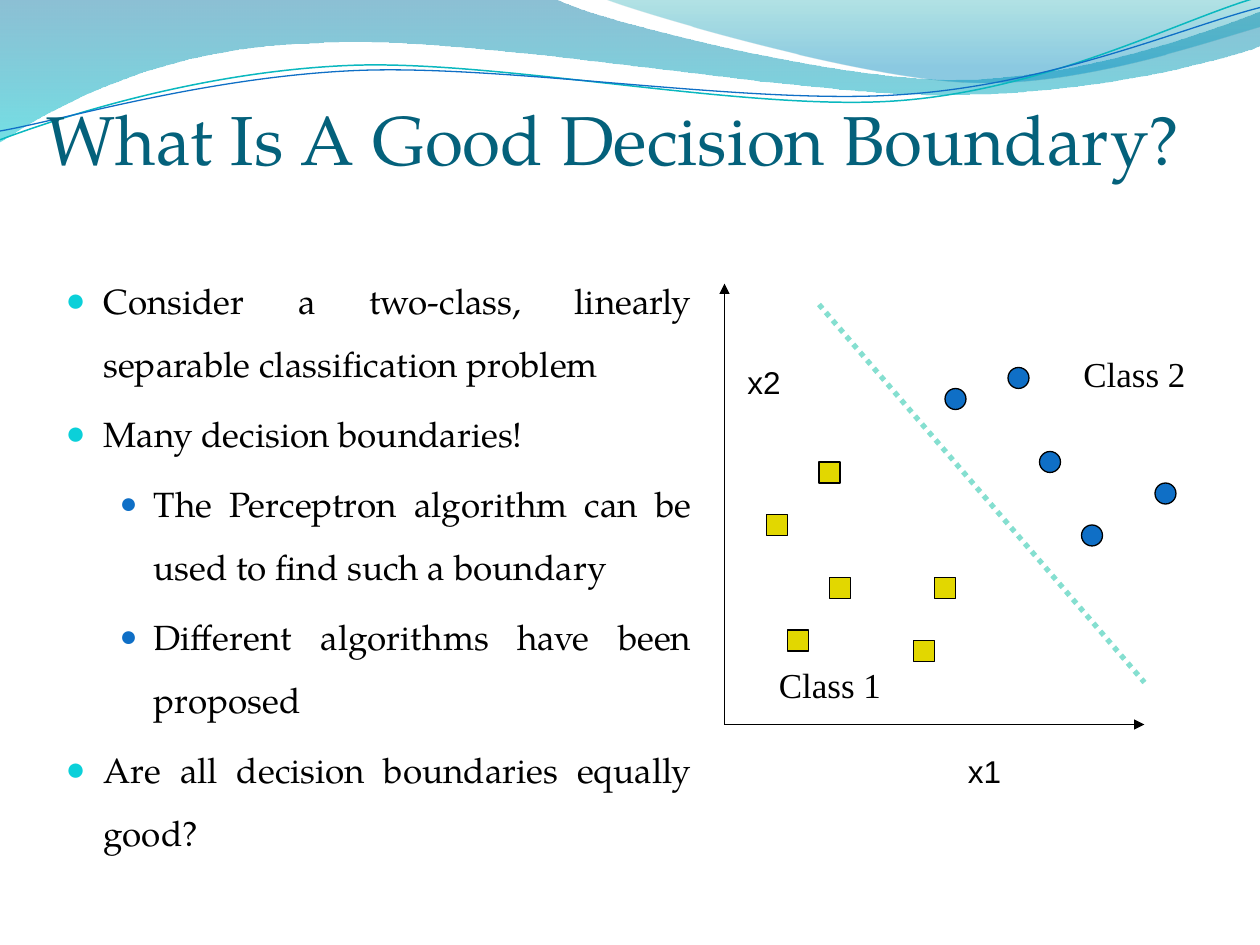
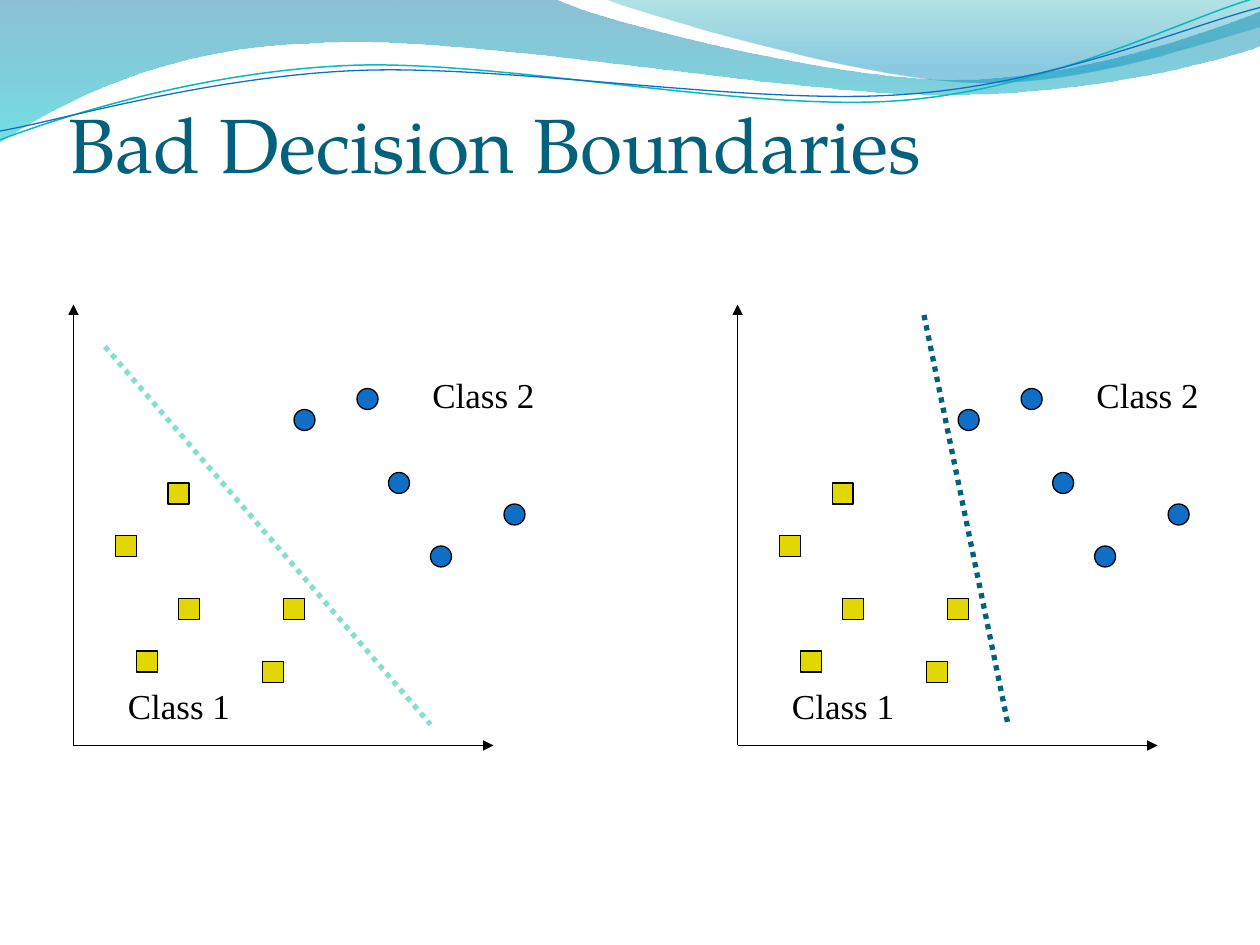
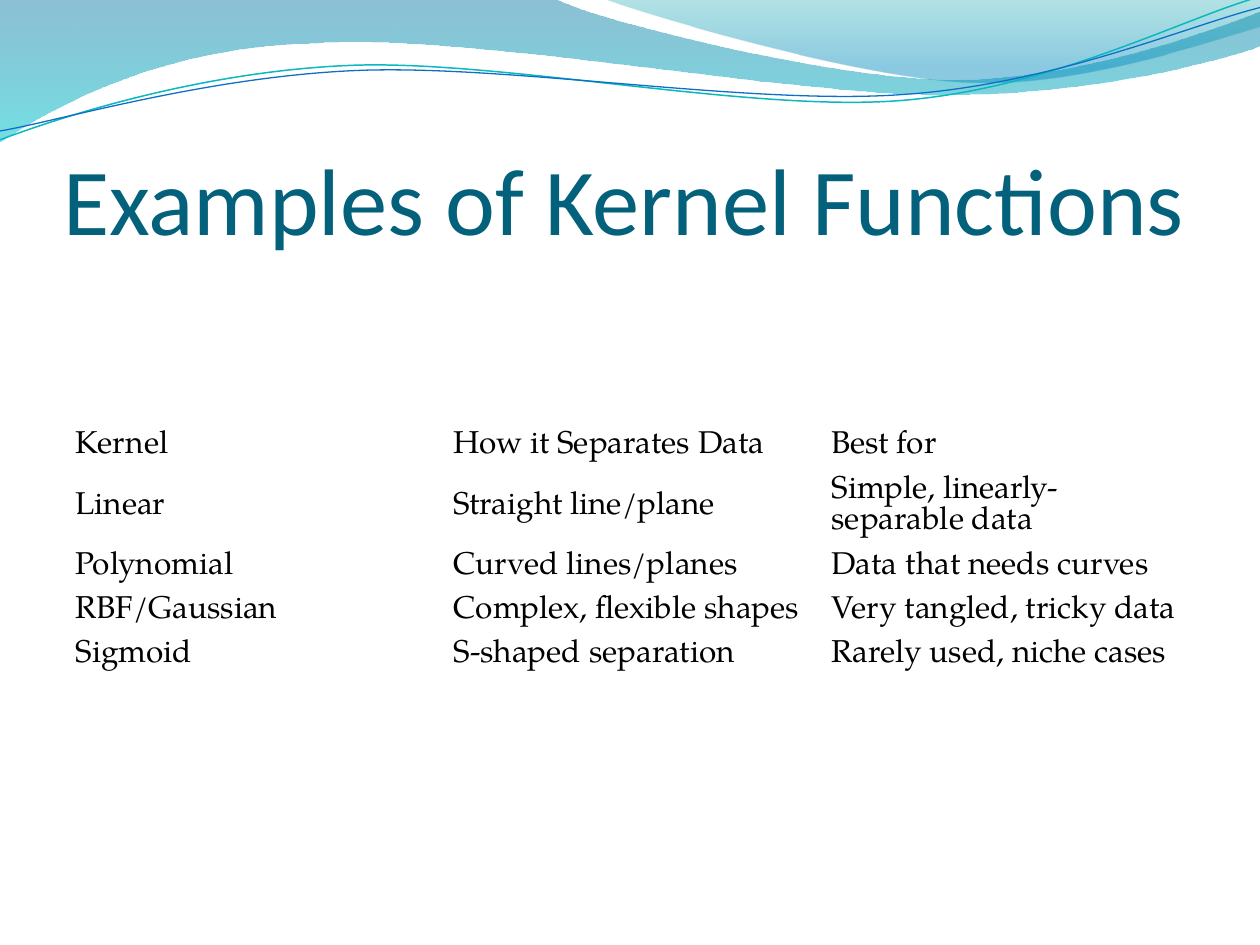
from dataclasses import dataclass

from pptx import Presentation
from pptx.dml.color import RGBColor
from pptx.enum.dml import MSO_LINE
from pptx.enum.shapes import MSO_CONNECTOR, MSO_SHAPE
from pptx.enum.text import MSO_ANCHOR, MSO_AUTO_SIZE, PP_ALIGN
from pptx.oxml.xmlchemy import OxmlElement
from pptx.util import Inches, Pt


@dataclass(frozen=True)
class Theme:
    ink: str = "000000"
    title: str = "04617B"
    blue: str = "0F6FC6"
    cyan: str = "0BD0D9"
    yellow: str = "E2D700"
    mint: str = "85DFD0"
    teal: str = "0AB8BF"
    serif: str = "TeX Gyre Pagella"
    sans: str = "Calibri"
    class_font: str = "Times New Roman"
    axis_font: str = "Arial"
    long_title: float = 39.6
    medium_title: float = 44
    short_title: float = 54
    body: float = 20
    small: float = 18


theme = Theme()

deck = Presentation()
deck.slide_width = Inches(10)
deck.slide_height = Inches(7.5)
column = deck.slide_width / 120
row = deck.slide_height / 90


def write(paragraph, text, size=theme.body, font=theme.serif, color=theme.ink,
          align=PP_ALIGN.LEFT, spacing=None, before=0, bullet=None):
    paragraph.alignment = align
    paragraph.space_before = Pt(before)
    if spacing:
        paragraph.line_spacing = spacing
    if bullet:
        bullet_color, percent, margin, hanging = bullet
        properties = paragraph._p.get_or_add_pPr()
        properties.set("marL", str(Inches(margin)))
        properties.set("indent", str(-Inches(hanging)))
        tint = OxmlElement("a:buClr")
        rgb = OxmlElement("a:srgbClr")
        rgb.set("val", bullet_color)
        tint.append(rgb)
        scale = OxmlElement("a:buSzPct")
        scale.set("val", str(percent * 1000))
        dot = OxmlElement("a:buChar")
        dot.set("char", "●")
        properties.extend([tint, scale, dot])
    run = paragraph.add_run()
    run.text = text
    run.font.size = Pt(size)
    run.font.name = font
    run.font.color.rgb = RGBColor.from_string(color)


def draw_plot(shapes, origin, boundary, boundary_color):
    origin_x, origin_y = origin
    lines = [
        ((0, 0), (0, 42), theme.ink, 1, True),
        ((0, 0), (40, 0), theme.ink, 1, True),
        (*boundary, boundary_color, 3, False),
    ]
    for start, end, color, width, is_axis in lines:
        line = shapes.add_connector(
            MSO_CONNECTOR.STRAIGHT,
            int((origin_x + start[0]) * column), int((origin_y - start[1]) * row),
            int((origin_x + end[0]) * column), int((origin_y - end[1]) * row))
        line.line.color.rgb = RGBColor.from_string(color)
        line.line.width = Pt(width)
        if is_axis:
            arrow = OxmlElement("a:tailEnd")
            arrow.set("type", "triangle")
            line.element.xpath(".//a:ln")[0].append(arrow)
        else:
            line.line.dash_style = MSO_LINE.ROUND_DOT
        line.element.spPr.append(OxmlElement("a:effectLst"))

    classes = [
        ("Class 2", (33, 36), MSO_SHAPE.OVAL, theme.blue,
         [(27, 34), (30, 26), (41, 23), (21, 32), (34, 19)]),
        ("Class 1", (4, 6.4), MSO_SHAPE.RECTANGLE, theme.yellow,
         [(4, 20), (20, 14), (18, 8), (10, 14), (6, 9), (9, 25)]),
    ]
    for label, (label_x, label_y), outline, color, samples in classes:
        for x, y in samples:
            sample = shapes.add_shape(
                outline, int((origin_x + x) * column), int((origin_y - y) * row),
                int(2 * column), int(2 * row))
            sample.shadow.inherit = False
            sample.fill.solid()
            sample.fill.fore_color.rgb = RGBColor.from_string(color)
            sample.line.color.rgb = RGBColor.from_string(theme.ink)
            sample.line.width = Pt(0.75)
        caption = shapes.add_textbox(
            int((origin_x + label_x) * column), int((origin_y - label_y) * row),
            int(12.7 * column), int(5.2 * row))
        caption.text_frame.auto_size = MSO_AUTO_SIZE.SHAPE_TO_FIT_TEXT
        write(caption.text_frame.paragraphs[0], label, font=theme.class_font)


headings = [
    ("What Is A Good Decision Boundary?", 1, theme.long_title, theme.serif,
     (0.37, 0.17, 9, 1.25)),
    ("Bad Decision Boundaries", 5, theme.medium_title, theme.serif,
     (0.54, 0.33, 9.21, 1.17)),
    ("Examples of Kernel Functions", 5, theme.short_title, theme.sans,
     (0.5, 0.77, 9, 1.25)),
]
slides = []
for heading, layout, size, font, place in headings:
    slide = deck.slides.add_slide(deck.slide_layouts[layout])
    title = slide.shapes.title
    title.left, title.top, title.width, title.height = map(Inches, place)
    frame = title.text_frame
    frame.auto_size = MSO_AUTO_SIZE.NONE
    frame.vertical_anchor = MSO_ANCHOR.BOTTOM
    frame.margin_left = frame.margin_right = frame.margin_bottom = 0
    frame.margin_top = Inches(0.05)
    write(frame.paragraphs[0], heading, size=size, font=font, color=theme.title)
    slides.append(slide)
good, bad, kernels = slides

waves = [
    ((0, 0),
     [[(4.4, -0.01)],
      [(4.76, 0.17), (6.64, 0.63), (7.58, 0.63)],
      [(8.53, 0.63), (9.58, 0.26), (10, 0.09)],
      [(10.01, 0.36)],
      [(9.83, 0.44), (8.7, 0.76), (7.46, 0.75)],
      [(6.22, 0.75), (3.82, 0.28), (2.57, 0.34)],
      [(1.29, 0.36), (0.46, 0.83), (-0.01, 1.13)],
      [(0, 0)]],
     [(0, "0074A1", 45), (1, "00C6CF", 55)], None),
    ((4.79, -0.01),
     [[(5.09, 0.11), (6.82, 0.62), (7.69, 0.65)],
      [(8.56, 0.69), (9.61, 0.32), (10, 0.21)],
      [(10, 0)],
      [(4.79, -0.01)]],
     [(0, "00A1A9", 30), (0.8, "008BBF", 45)], None),
    ((0, 1.11),
     [[(0.48, 0.93), (1.58, 0.57), (2.77, 0.52)],
      [(3.95, 0.47), (5.93, 0.89), (7.13, 0.8)],
      [(8.33, 0.71), (9.38, 0.15), (9.98, -0.02)]],
     None, (theme.teal, 0.85)),
    ((0, 1.04),
     [[(0.47, 0.96), (1.64, 0.61), (2.83, 0.56)],
      [(4.03, 0.51), (5.97, 0.84), (7.17, 0.75)],
      [(8.36, 0.67), (9.41, 0.21), (10, 0.06)]],
     None, (theme.blue, 0.75)),
]
master_tree = deck.slide_master.shapes.element
for layer, (start, segments, stops, stroke) in enumerate(waves):
    builder = good.shapes.build_freeform(*map(Inches, start))
    builder.add_line_segments(
        [tuple(map(Inches, segment[-1])) for segment in segments],
        close=stroke is None)
    wave = builder.convert_to_shape()
    for straight, segment in zip(wave.element.xpath(".//a:lnTo"), segments):
        if len(segment) == 3:
            curve = OxmlElement("a:cubicBezTo")
            for x, y in segment:
                point = OxmlElement("a:pt")
                point.set("x", str(Inches(x) - wave.left))
                point.set("y", str(Inches(y) - wave.top))
                curve.append(point)
            straight.getparent().replace(straight, curve)
    wave.shadow.inherit = False
    if stroke:
        wave.fill.background()
        wave.line.color.rgb = RGBColor.from_string(stroke[0])
        wave.line.width = Pt(stroke[1])
    else:
        wave.line.fill.background()
        wave.fill.gradient()
        wave.fill.gradient_angle = 270
        for stop, (position, color, opacity) in zip(wave.fill.gradient_stops, stops):
            stop.position = position
            stop.color.rgb = RGBColor.from_string(color)
        for rgb, (position, color, opacity) in zip(
                wave.element.xpath(".//a:gs/a:srgbClr"), stops):
            alpha = OxmlElement("a:alpha")
            alpha.set("val", str(opacity * 1000))
            rgb.append(alpha)
    master_tree.insert(2 + layer, wave.element)

points_to_make = [
    (0, "Consider a two-class, linearly separable classification problem"),
    (0, "Many decision boundaries!"),
    (1, "The Perceptron algorithm can be used to find such a boundary"),
    (1, "Different algorithms have been proposed"),
    (0, "Are all decision boundaries equally good?"),
]
bullets = [(theme.cyan, 95, 0.3, 0.3), (theme.blue, 85, 0.7, 0.27)]
body = good.placeholders[1]
body.left, body.top, body.width, body.height = map(Inches, (0.42, 2, 5.17, 5.08))
body.text_frame.auto_size = MSO_AUTO_SIZE.NONE
for index, (level, point) in enumerate(points_to_make):
    frame = body.text_frame
    paragraph = frame.add_paragraph() if index else frame.paragraphs[0]
    paragraph.level = level
    write(paragraph, point, align=PP_ALIGN.JUSTIFY, spacing=1.5,
          before=4 if index else 0, bullet=bullets[level])

draw_plot(good.shapes.add_group_shape().shapes, (69, 69), ((9, 40), (40, 4)),
          theme.mint)
for axis_name, x, y in [("x1", 91, 71), ("x2", 70, 34)]:
    axis_label = good.shapes.add_textbox(
        int(x * column), int(y * row), int(8 * column), int(5 * row))
    axis_label.text_frame.word_wrap = True
    axis_label.text_frame.auto_size = MSO_AUTO_SIZE.SHAPE_TO_FIT_TEXT
    write(axis_label.text_frame.paragraphs[0], axis_name,
          size=theme.small, font=theme.axis_font)

draw_plot(bad.shapes, (7, 71), ((3, 38), (34, 2)), theme.mint)
draw_plot(bad.shapes, (70.25, 71), ((17.75, 41), (25.75, 2)), theme.title)

kernel_rows = [
    ("Kernel", "How it Separates Data", "Best for"),
    ("Linear", "Straight line/plane", "Simple, linearly-separable data"),
    ("Polynomial", "Curved lines/planes", "Data that needs curves"),
    ("RBF/Gaussian", "Complex, flexible shapes", "Very tangled, tricky data"),
    ("Sigmoid", "S-shaped separation", "Rarely used, niche cases"),
]
row_heights = [0.35, 0.6, 0.35, 0.35, 0.35]
kernel_table = kernels.shapes.add_table(
    len(kernel_rows), 3, Inches(0.5), Inches(3.37), Inches(9),
    Inches(sum(row_heights))).table
kernel_table.first_row = False
kernel_table.horz_banding = False
for table_row, height, texts in zip(kernel_table.rows, row_heights, kernel_rows):
    table_row.height = Inches(height)
    for cell, text in zip(table_row.cells, texts):
        cell.fill.background()
        cell.vertical_anchor = MSO_ANCHOR.MIDDLE
        write(cell.text_frame.paragraphs[0], text, size=theme.small)

deck.save("out.pptx")
